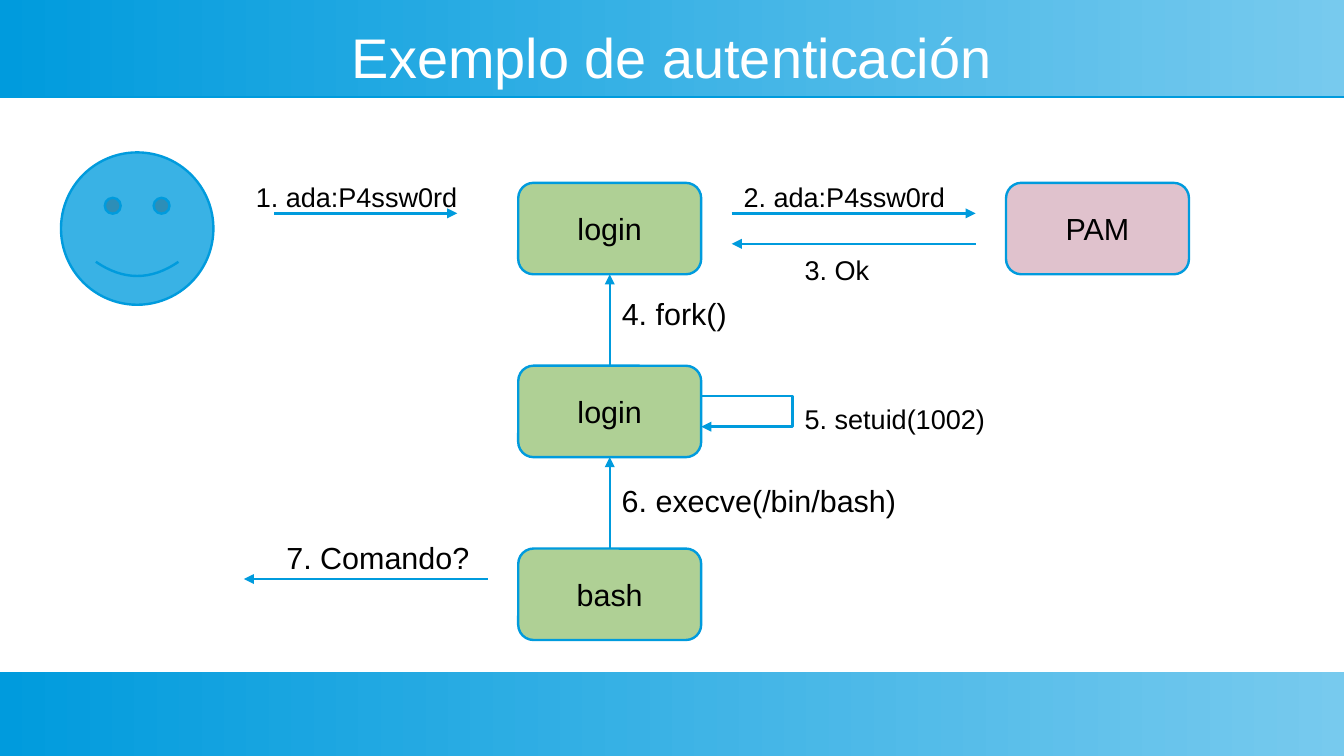
from lxml import etree
from pptx import Presentation
from pptx.dml.color import RGBColor
from pptx.enum.shapes import MSO_CONNECTOR, MSO_SHAPE
from pptx.enum.text import MSO_ANCHOR, PP_ALIGN
from pptx.oxml.ns import qn
from pptx.util import Pt

STRAIGHT = MSO_CONNECTOR.STRAIGHT
RECTANGLE, ROUNDED, SMILEY = MSO_SHAPE.RECTANGLE, MSO_SHAPE.ROUNDED_RECTANGLE, MSO_SHAPE.SMILEY_FACE
LEFT, CENTER = PP_ALIGN.LEFT, PP_ALIGN.CENTER
TOP, MIDDLE = MSO_ANCHOR.TOP, MSO_ANCHOR.MIDDLE
BLUE, GREEN, PINK = "009BDD", "AFD095", "E0C2CD"
WIDTH, HEIGHT = 793.5, 446.5
LINE_WIDTH = 1.42
BOX_WIDTH, BOX_HEIGHT = 108, 54


def paint(fill, color):
    fill.solid()
    fill.fore_color.rgb = RGBColor.from_string(color)


def write(shape, text, size=18, color="000000", align=LEFT, anchor=TOP, wrap=True):
    frame = shape.text_frame
    frame.word_wrap = wrap
    frame.vertical_anchor = anchor
    paragraph = frame.paragraphs[0]
    paragraph.text = text
    paragraph.alignment = align
    paragraph.font.name = "Arial"
    paragraph.font.size = Pt(size)
    paint(paragraph.font.fill, color)


presentation = Presentation()
presentation.slide_width = Pt(WIDTH)
presentation.slide_height = Pt(HEIGHT)
slide = presentation.slides.add_slide(presentation.slide_layouts[6])
shapes = slide.shapes

for top, height in [(0, 57), (397, 49.5)]:
    band = shapes.add_shape(RECTANGLE, 0, Pt(top), Pt(WIDTH), Pt(height))
    band.shadow.inherit = False
    band.line.fill.background()
    band.fill.gradient()
    band.fill.gradient_angle = 0
    for stop, color in zip(band.fill.gradient_stops, [BLUE, "77CAEE"]):
        stop.color.rgb = RGBColor.from_string(color)
    effects = band.element.spPr.find(qn("a:effectLst"))
    shadow = etree.SubElement(effects, qn("a:outerShdw"), dist=str(Pt(0.9)), dir="5400000", rotWithShape="0")
    etree.SubElement(shadow, qn("a:srgbClr"), val=BLUE)

title = shapes.add_textbox(Pt(28), Pt(14.5), Pt(737.5), Pt(37.5))
frame = title.text_frame
frame.margin_left = frame.margin_right = frame.margin_top = frame.margin_bottom = 0
write(title, "Exemplo de autenticación", size=33, color="FFFFFF", align=CENTER, anchor=MIDDLE)

boxes = []
for kind, left, top, width, height, color, text in [
    (SMILEY, 36, 90, 90, 90, "39B2E5", ""),
    (ROUNDED, 594, 108, BOX_WIDTH, BOX_HEIGHT, PINK, "PAM"),
    (ROUNDED, 306, 108, BOX_WIDTH, BOX_HEIGHT, GREEN, "login"),
    (ROUNDED, 306, 216, BOX_WIDTH, BOX_HEIGHT, GREEN, "login"),
    (ROUNDED, 306, 324, BOX_WIDTH, BOX_HEIGHT, GREEN, "bash"),
]:
    box = shapes.add_shape(kind, Pt(left), Pt(top), Pt(width), Pt(height))
    box.shadow.inherit = False
    paint(box.fill, color)
    paint(box.line.fill, BLUE)
    box.line.width = Pt(LINE_WIDTH)
    if text:
        write(box, text, align=CENTER, anchor=MIDDLE, wrap=False)
    boxes.append(box)

arrows = []
for start, end, y in [(162, 270, 126), (432, 576, 126), (576, 432, 144), (288, 144, 342)]:
    arrows.append(shapes.add_connector(STRAIGHT, Pt(start), Pt(y), Pt(end), Pt(y)))

processes = boxes[2:]
for parent, child in zip(processes, processes[1:]):
    arrow = shapes.add_connector(STRAIGHT, 0, 0, 0, 0)
    arrow.begin_connect(child, 0)
    arrow.end_connect(parent, 2)
    arrows.append(arrow)

builder = shapes.build_freeform(Pt(414), Pt(234))
builder.add_line_segments([(Pt(468), Pt(234)), (Pt(468), Pt(252)), (Pt(414), Pt(252))], close=False)
loop = builder.convert_to_shape()
loop.fill.background()
arrows.append(loop)

for arrow in arrows:
    paint(arrow.line.fill, BLUE)
    arrow.line.width = Pt(LINE_WIDTH)
    properties = arrow.element.spPr
    etree.SubElement(properties.find(qn("a:ln")), qn("a:tailEnd"), type="triangle")
    etree.SubElement(properties, qn("a:effectLst"))

for text, left, top, width, height, size in [
    ("1. ada:P4ssw0rd", 144, 103, 144, 42, 16),
    ("2. ada:P4ssw0rd", 432, 103, 144, 42, 16),
    ("3. Ok", 468, 146, 90, 25, 16),
    ("4. fork()", 360, 171, 90, 47, 18),
    ("5. setuid(1002)", 468, 234, 126, 25, 16),
    ("6. execve(/bin/bash)", 360, 281, 180, 47, 18),
    ("7. Comando?", 162, 315, 144, 47, 18),
]:
    label = shapes.add_textbox(Pt(left), Pt(top), Pt(width), Pt(height))
    write(label, text, size=size)

presentation.save("out.pptx")
